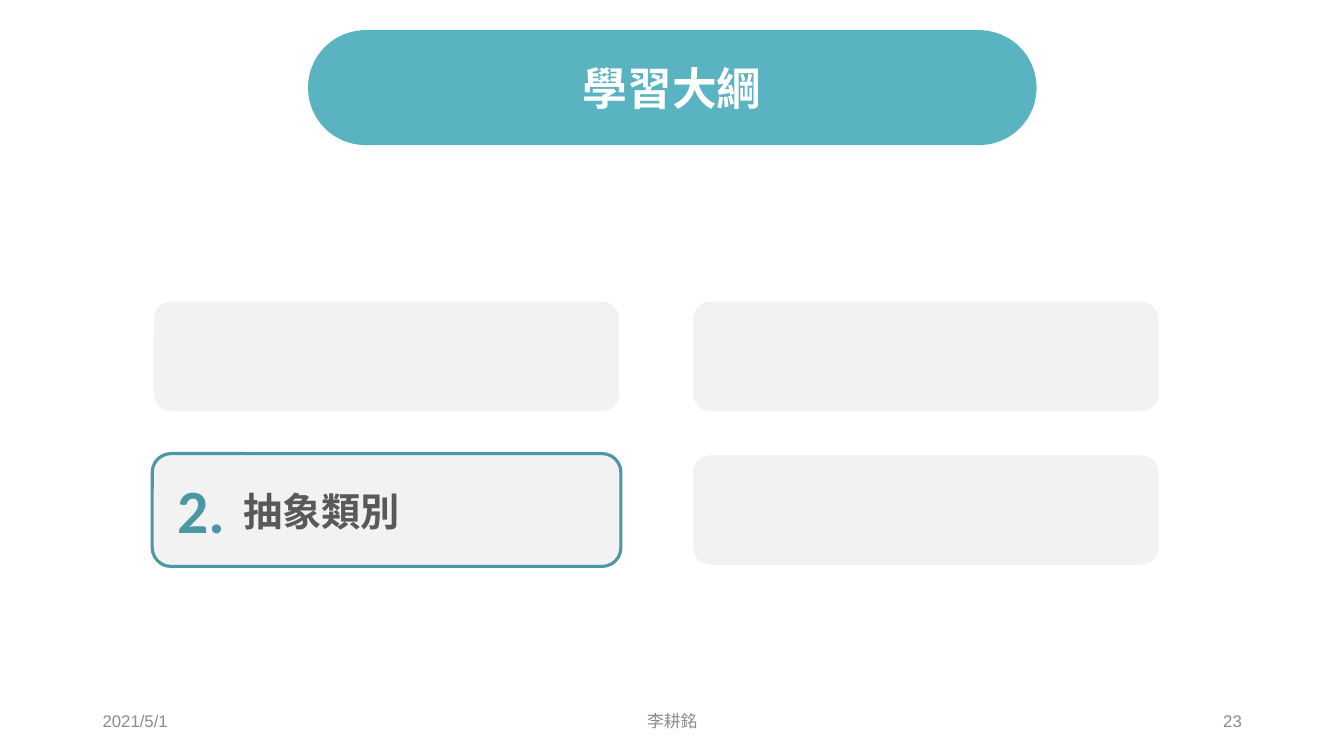
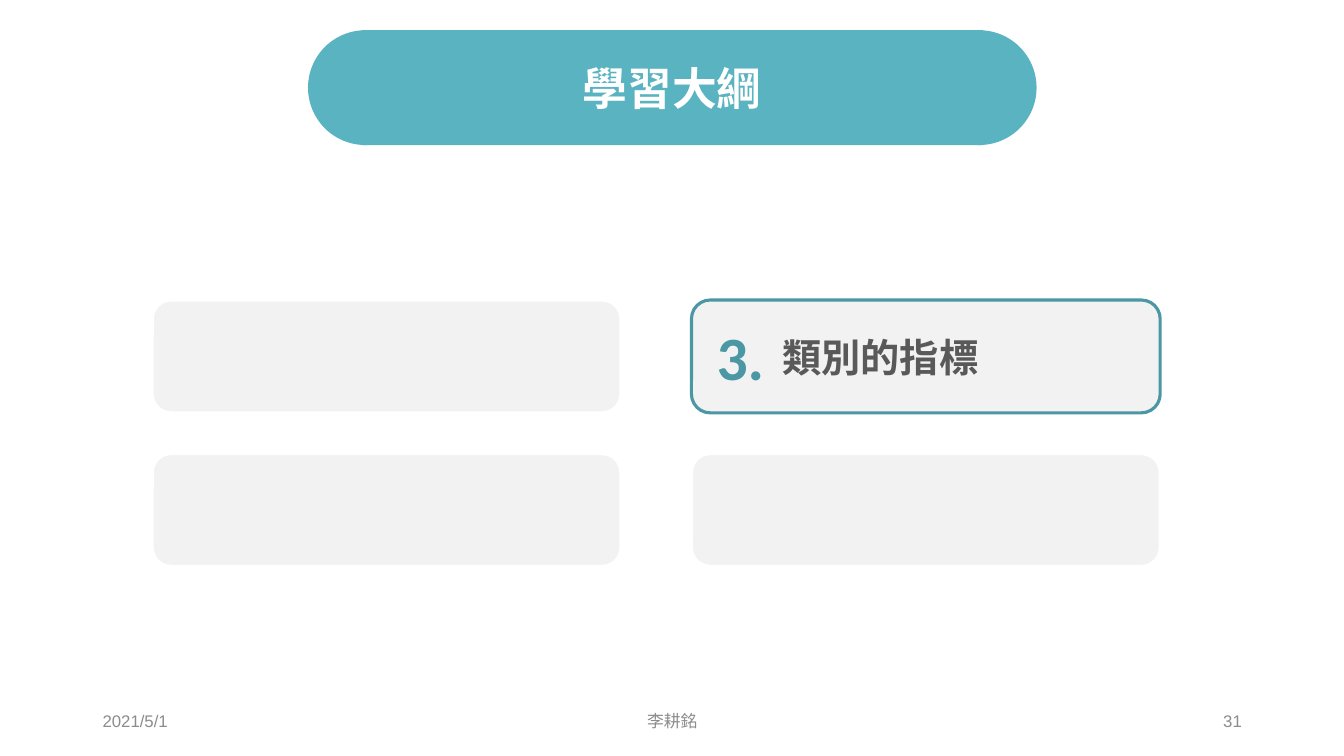
from lxml import etree
from pptx import Presentation
from pptx.dml.color import RGBColor
from pptx.enum.shapes import MSO_SHAPE
from pptx.enum.text import MSO_ANCHOR, PP_ALIGN
from pptx.oxml.ns import qn
from pptx.util import Pt

ROUNDED, OVAL, RECTANGLE = MSO_SHAPE.ROUNDED_RECTANGLE, MSO_SHAPE.OVAL, MSO_SHAPE.RECTANGLE
LEFT, CENTER, RIGHT = PP_ALIGN.LEFT, PP_ALIGN.CENTER, PP_ALIGN.RIGHT
TOP, MIDDLE = MSO_ANCHOR.TOP, MSO_ANCHOR.MIDDLE

# Shared look
BAND, ACCENT, CARD, WHITE = "59B3C0", "4B97A4", "F2F2F2", "FFFFFF"
DARK, GREY = "595959", "8C8C8C"
CJK = "Noto Sans CJK TC"
TITLE_STYLE = {"name": CJK, "size": Pt(32), "bold": True}
NUMBER_STYLE = {"name": "Calibri", "size": Pt(44), "bold": True}
LABEL_STYLE = {"name": CJK, "size": Pt(28), "bold": True}
FOOTER_STYLE = {"name": "Arial", "size": Pt(12), "bold": False}

# Boxes are (left, top, width, height) in points
TITLE_BOX = (66.2, 21.6, 828, 82)
GRID_BOX = (108.7, 214.3, 720, 190.3)
FOOTER_BOX = (66.2, 500.4, 828, 28.8)
BAND_WIDTH, BAND_CORE = 520.4, 443.6
CARD_WIDTH, CARD_HEIGHT = 334.8, 80.6


def color(hex_code):
    return RGBColor.from_string(hex_code)


def add_text(page, box, text, style, ink, align, anchor=MIDDLE, wrap=True):
    frame = page.shapes.add_textbox(*map(Pt, box)).text_frame
    frame.word_wrap = wrap
    frame.vertical_anchor = anchor
    para = frame.paragraphs[0]
    para.alignment = align
    span = para.add_run()
    span.text = text
    for name, value in style.items():
        setattr(span.font, name, value)
    span.font.color.rgb = color(ink)
    # East Asian typeface
    etree.SubElement(span._r.get_or_add_rPr(), qn("a:ea"), typeface=CJK)


def add_form(page, kind, box, fill, line=None):
    shape = page.shapes.add_shape(kind, *map(Pt, box))
    shape.shadow.inherit = False
    shape.fill.solid()
    shape.fill.fore_color.rgb = color(fill)
    if line:
        shape.line.color.rgb = color(line)
        shape.line.width = Pt(2.25)
    else:
        shape.line.fill.background()


def add_title(page, box, text):
    left, top, width, height = box
    middle = left + width / 2
    # Band: two round ends and a core
    for end in (middle - BAND_WIDTH / 2, middle + BAND_WIDTH / 2 - height):
        add_form(page, OVAL, (end, top, height, height), BAND)
    add_form(page, RECTANGLE, (middle - BAND_CORE / 2, top, BAND_CORE, height), BAND)
    add_text(page, box, text, TITLE_STYLE, WHITE, CENTER)


def add_footer(page, box, page_number):
    left, top, width, height = box
    parts = [("2021/5/1", LEFT, 0, 216),
             ("李耕銘", CENTER, (width - 324) / 2, 324),
             (str(page_number), RIGHT, width - 216, 216)]
    for text, align, offset, part_width in parts:
        add_text(page, (left + offset, top, part_width, height),
                 text, FOOTER_STYLE, GREY, align)


def add_topic(page, box, number, label):
    left, top = box[:2]
    add_text(page, (left + 10.4, top + 9.9, 49, 60.5), f"{number}.",
             NUMBER_STYLE, ACCENT, CENTER, anchor=TOP, wrap=False)
    # Label box fits its characters plus side margins
    add_text(page, (left + 58, top + 20.4, 28 * len(label) + 15, 41), label,
             LABEL_STYLE, DARK, LEFT, wrap=False)


def add_cards(page, box, current, label):
    left, top, width, height = box
    # Two columns, filled downwards
    for number in range(1, 5):
        column, row = divmod(number - 1, 2)
        card_box = (left + column * (width - CARD_WIDTH),
                    top + row * (height - CARD_HEIGHT), CARD_WIDTH, CARD_HEIGHT)
        active = number == current
        add_form(page, ROUNDED, card_box, CARD, ACCENT if active else WHITE)
        if active:
            add_topic(page, card_box, number, label)


def add_outline_page(deck, current, label, page_number):
    page = deck.slides.add_slide(deck.slide_layouts[6])
    add_title(page, TITLE_BOX, "學習大綱")
    add_footer(page, FOOTER_BOX, page_number)
    add_cards(page, GRID_BOX, current, label)


deck = Presentation()
deck.slide_width, deck.slide_height = Pt(960), Pt(540)
for current, label, page_number in [(2, "抽象類別", 23), (3, "\uf9d0別的指標", 31)]:
    add_outline_page(deck, current, label, page_number)
deck.save("out.pptx")
